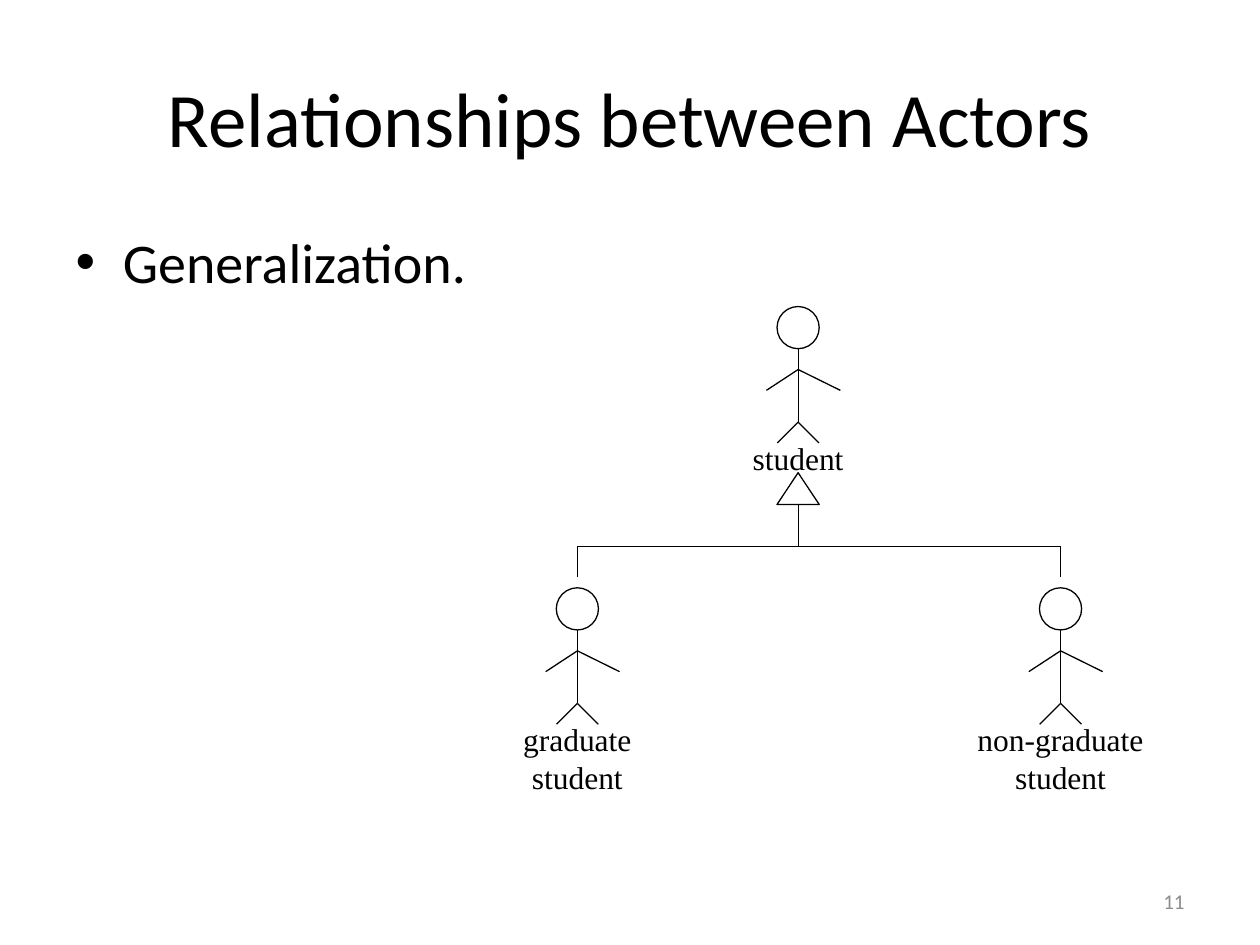
from dataclasses import dataclass

from lxml import etree
from pptx import Presentation
from pptx.dml.color import RGBColor
from pptx.enum.shapes import MSO_CONNECTOR, MSO_SHAPE
from pptx.enum.text import MSO_ANCHOR, PP_ALIGN
from pptx.oxml.ns import qn
from pptx.util import Cm, Pt

STRAIGHT = MSO_CONNECTOR.STRAIGHT
OVAL, TRIANGLE = MSO_SHAPE.OVAL, MSO_SHAPE.ISOSCELES_TRIANGLE
LEFT, CENTER, RIGHT = PP_ALIGN.LEFT, PP_ALIGN.CENTER, PP_ALIGN.RIGHT
TOP, MIDDLE = MSO_ANCHOR.TOP, MSO_ANCHOR.MIDDLE

BLACK, GRAY = "000000", "8C8C8C"
LINE_WIDTH = Pt(0.75)
HEAD = 0.85  # head diameter and triangle width, in cm
BAR_Y = 11.01  # height of the generalization bar
STUB_Y = 11.64  # lower end of the branches

# Limbs as (x1, y1, x2, y2) in cm from the top centre of the head
LIMBS = [
    (0, HEAD, 0, 2.33),
    (0, 1.27, 0.85, 1.69),
    (0, 1.27, -0.64, 1.69),
    (0, 2.33, 0.42, 2.75),
    (0, 2.33, -0.42, 2.75),
]


@dataclass
class Actor:
    center: float
    top: float
    label: list[str]
    label_width: float


PARENT = Actor(16.09, 6.18, ["student"], 2.54)
CHILDREN = [
    Actor(21.38, 11.85, ["non-graduate", "student"], 4.23),
    Actor(11.64, 11.85, ["graduate", "student"], 3.39),
]


def color(value: str) -> RGBColor:
    return RGBColor.from_string(value)


def style_paragraph(para, font: str, size: float, fill: str, align) -> None:
    para.alignment = align
    para.font.name = font
    para.font.size = Pt(size)
    para.font.color.rgb = color(fill)


def place(shape, left: float, top: float, width: float, height: float) -> None:
    shape.left, shape.top = Cm(left), Cm(top)
    shape.width, shape.height = Cm(width), Cm(height)


def draw_line(page, x1: float, y1: float, x2: float, y2: float) -> None:
    line = page.shapes.add_connector(STRAIGHT, Cm(x1), Cm(y1), Cm(x2), Cm(y2))
    line.line.color.rgb = color(BLACK)
    line.line.width = LINE_WIDTH
    etree.SubElement(line._element.spPr, qn("a:effectLst"))


def draw_outline(page, kind, center: float, top: float, height: float) -> None:
    shape = page.shapes.add_shape(
        kind, Cm(center - HEAD / 2), Cm(top), Cm(HEAD), Cm(height))
    shape.shadow.inherit = False
    shape.fill.background()
    shape.line.color.rgb = color(BLACK)
    shape.line.width = LINE_WIDTH


def draw_actor(page, actor: Actor) -> None:
    draw_outline(page, OVAL, actor.center, actor.top, HEAD)
    for x1, y1, x2, y2 in LIMBS:
        draw_line(page, actor.center + x1, actor.top + y1,
                  actor.center + x2, actor.top + y2)
    box = page.shapes.add_textbox(
        Cm(actor.center - actor.label_width / 2), Cm(actor.top + 2.54),
        Cm(actor.label_width), Cm(0.25 + 0.77 * len(actor.label)))
    frame = box.text_frame
    frame.word_wrap = True
    frame.text = "\n".join(actor.label)
    for para in frame.paragraphs:
        style_paragraph(para, "Times New Roman", 18, BLACK, CENTER)


def fill_placeholder(shape, text: str, size: float, align, anchor) -> None:
    shape.text_frame.text = text
    shape.text_frame.vertical_anchor = anchor
    style_paragraph(shape.text_frame.paragraphs[0], "Calibri", size, BLACK, align)


deck = Presentation()
deck.slide_width, deck.slide_height = Cm(25.4), Cm(19.05)
page = deck.slides.add_slide(deck.slide_layouts[1])

# Title and bullet list
title, body = page.placeholders
place(title, 1.27, 0.76, 22.86, 3.18)
fill_placeholder(title, "Relationships between Actors", 44, CENTER, MIDDLE)
place(body, 1.27, 4.45, 22.86, 12.57)
fill_placeholder(body, "Generalization.", 32, LEFT, TOP)

# Actors
for actor in [PARENT, *CHILDREN]:
    draw_actor(page, actor)

# Generalization tree
for child in CHILDREN:
    draw_line(page, child.center, STUB_Y, child.center, BAR_Y)
draw_line(page, CHILDREN[1].center, BAR_Y, CHILDREN[0].center, BAR_Y)
draw_outline(page, TRIANGLE, PARENT.center, 9.53, 0.64)
draw_line(page, PARENT.center, 10.17, PARENT.center, BAR_Y)

# Page number
number = page.shapes.add_textbox(Cm(18.2), Cm(17.66), Cm(5.93), Cm(1.01))
number.text_frame.word_wrap = True
number.text_frame.vertical_anchor = MIDDLE
number.text_frame.text = "11"
style_paragraph(number.text_frame.paragraphs[0], "Calibri", 12, GRAY, RIGHT)

deck.save("out.pptx")
